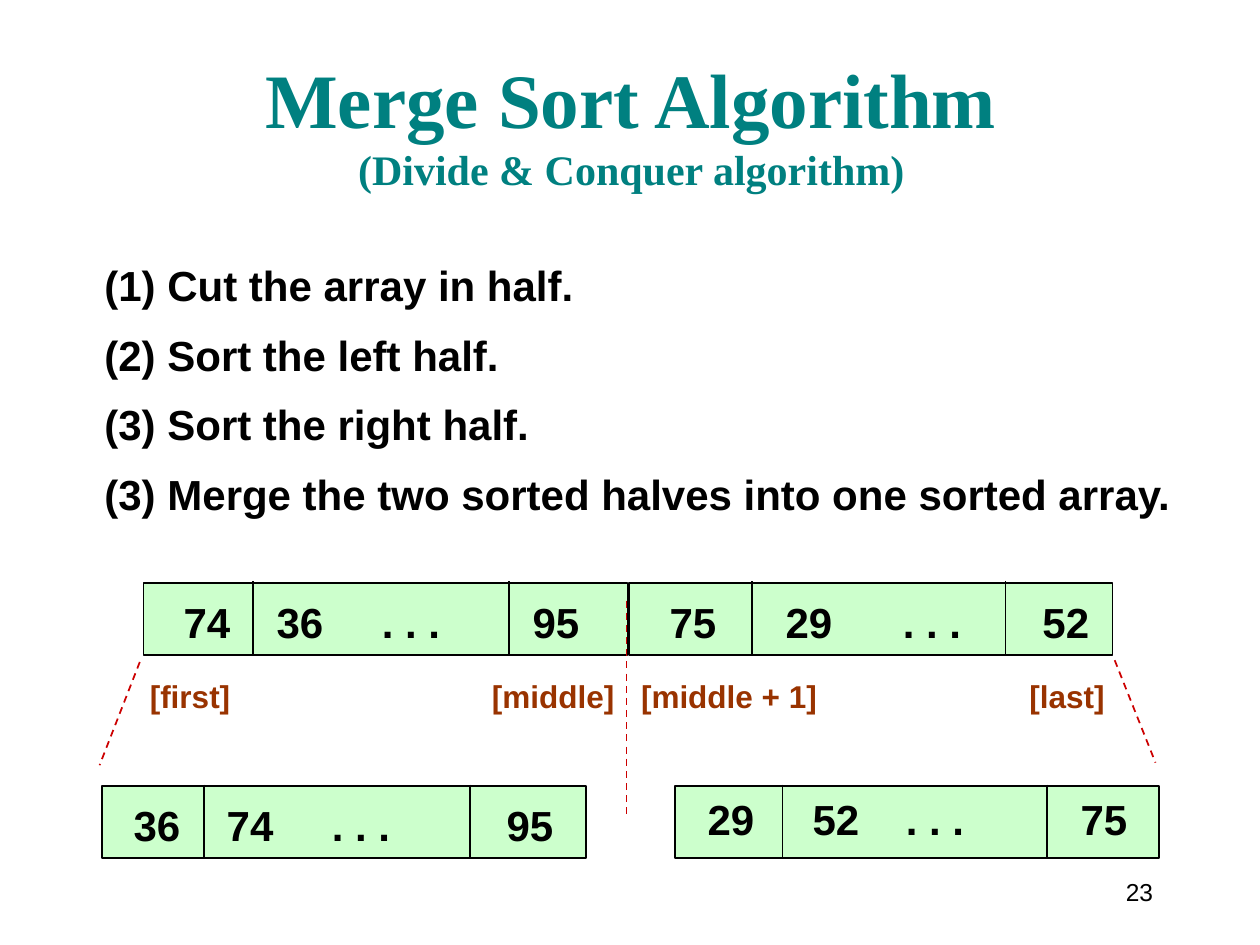
from lxml import etree
from pptx import Presentation
from pptx.dml.color import RGBColor
from pptx.enum.dml import MSO_LINE
from pptx.enum.shapes import MSO_CONNECTOR, MSO_SHAPE
from pptx.enum.text import MSO_ANCHOR, MSO_AUTO_SIZE, PP_ALIGN
from pptx.oxml.ns import qn
from pptx.util import Pt

TEAL = RGBColor(0x00, 0x80, 0x80)
BLACK = RGBColor(0x00, 0x00, 0x00)
GREEN = RGBColor(0xCC, 0xFF, 0xCC)
BROWN = RGBColor(0x99, 0x33, 0x00)
RED = RGBColor(0xCC, 0x00, 0x00)

ARRAY_WIDTH, ARRAY_HEIGHT = 276.5, 41


def format_font(font, size, color=BLACK, name="Arial", bold=True):
    font.size = Pt(size)
    font.color.rgb = color
    font.name = name
    font.bold = bold


def add_center_tabs(paragraph, stops):
    tab_list = etree.SubElement(paragraph._p.get_or_add_pPr(), qn("a:tabLst"))
    for stop in stops:
        etree.SubElement(tab_list, qn("a:tab"), pos=str(int(Pt(stop))), algn="ctr")


def add_text(slide, box, lines, size=24, color=BLACK, bold=True, align=PP_ALIGN.LEFT,
             anchor=MSO_ANCHOR.TOP, margin=7.2, gap=0, tabs=()):
    frame = slide.shapes.add_textbox(*map(Pt, box)).text_frame
    frame.word_wrap = True
    frame.vertical_anchor = anchor
    frame.margin_left = frame.margin_right = Pt(margin)
    for index, line in enumerate(lines):
        paragraph = frame.add_paragraph() if index else frame.paragraphs[0]
        if tabs:
            add_center_tabs(paragraph, tabs)
        paragraph.alignment = align
        if index:
            paragraph.space_before = Pt(gap)
        run = paragraph.add_run()
        run.text = line
        format_font(run.font, size, color, bold=bold)


def add_tabbed_row(slide, box, entries, **style):
    words, stops = zip(*entries)
    add_text(slide, box, ["\t" + "\t".join(words)], margin=0, tabs=stops, **style)


def add_line(slide, start, end, color=BLACK, dash=None):
    line = slide.shapes.add_connector(MSO_CONNECTOR.STRAIGHT, *map(Pt, (*start, *end)))
    line.line.color.rgb = color
    line.line.width = Pt(1)
    if dash:
        line.line.dash_style = dash
    etree.SubElement(line._element.spPr, qn("a:effectLst"))


def add_title(slide, box, heading, subheading):
    title = slide.shapes.title
    title.left, title.top, title.width, title.height = map(Pt, box)
    frame = title.text_frame
    frame.auto_size = MSO_AUTO_SIZE.NONE
    frame.vertical_anchor = MSO_ANCHOR.BOTTOM
    paragraph = frame.paragraphs[0]
    paragraph.alignment = PP_ALIGN.CENTER
    for text, size in ((heading, 44), (subheading, 24)):
        if paragraph.runs:
            paragraph.add_line_break()
        run = paragraph.add_run()
        run.text = text
        format_font(run.font, size, TEAL, "Times New Roman")


def add_array(slide, left, top, values, dividers, text_offset=4.3):
    cells = slide.shapes.add_shape(
        MSO_SHAPE.RECTANGLE, Pt(left), Pt(top), Pt(ARRAY_WIDTH), Pt(ARRAY_HEIGHT))
    cells.shadow.inherit = False
    cells.fill.solid()
    cells.fill.fore_color.rgb = GREEN
    cells.line.color.rgb = BLACK
    cells.line.width = Pt(1)
    for offset in dividers:
        add_line(slide, (left + offset, top - 1), (left + offset, top + ARRAY_HEIGHT))
    add_tabbed_row(slide, (left, top + text_offset, ARRAY_WIDTH, 36), values)


def add_split_diagram(slide, left, top):
    middle = left + ARRAY_WIDTH + 0.7
    add_array(slide, left, top,
              [("74", 36.2), ("36", 89.3), (". . .", 152.8), ("95", 235.6)], (62.6, 208.8))
    add_array(slide, middle, top,
              [("75", 36.7), ("29", 103), (". . .", 173.3), ("52", 249.8)], (70.5, 215.3))
    add_tabbed_row(slide, (left, top + 50, 2 * ARRAY_WIDTH, 29),
                   [("[first]", 26.5), ("[middle]", 234), ("[middle + 1]", 334.5),
                    ("[last]", 527.6)], size=18, color=BROWN)
    add_array(slide, left - 23.8, top + 116,
              [("36", 31.4), ("74", 84.6), (". . .", 148), ("95", 244.6)], (58.3, 210.3))
    add_array(slide, left + 303.8, top + 116,
              [("29", 31.8), ("52", 91.8), (". . .", 148.4), ("75", 245)], (61.2, 212.4),
              text_offset=0.7)
    right = middle + ARRAY_WIDTH
    for start, end in (((middle - 1.3, top + 10), (middle - 1.3, top + 133)),
                       ((left - 2.2, top + 45), (left - 25.2, top + 104)),
                       ((right + 1.2, top + 44), (right + 24.5, top + 102.5))):
        add_line(slide, start, end, RED, MSO_LINE.DASH)


def main():
    presentation = Presentation()
    presentation.slide_width, presentation.slide_height = Pt(720), Pt(540)
    slide = presentation.slides.add_slide(presentation.slide_layouts[5])
    add_title(slide, (16.5, 24.5, 688.5, 90), "Merge Sort Algorithm",
              "(Divide & Conquer algorithm)")
    add_text(slide, (52.6, 144.7, 643, 151),
             ["(1) Cut the array in half.", "(2) Sort the left half.",
              "(3) Sort the right half.",
              "(3) Merge the two sorted halves into one sorted array."], gap=11)
    add_split_diagram(slide, 82.1, 333.3)
    add_text(slide, (617.8, 491.8, 48.2, 36), ["23"], size=14, bold=False,
             align=PP_ALIGN.RIGHT, anchor=MSO_ANCHOR.MIDDLE)
    presentation.save("out.pptx")


if __name__ == "__main__":
    main()
